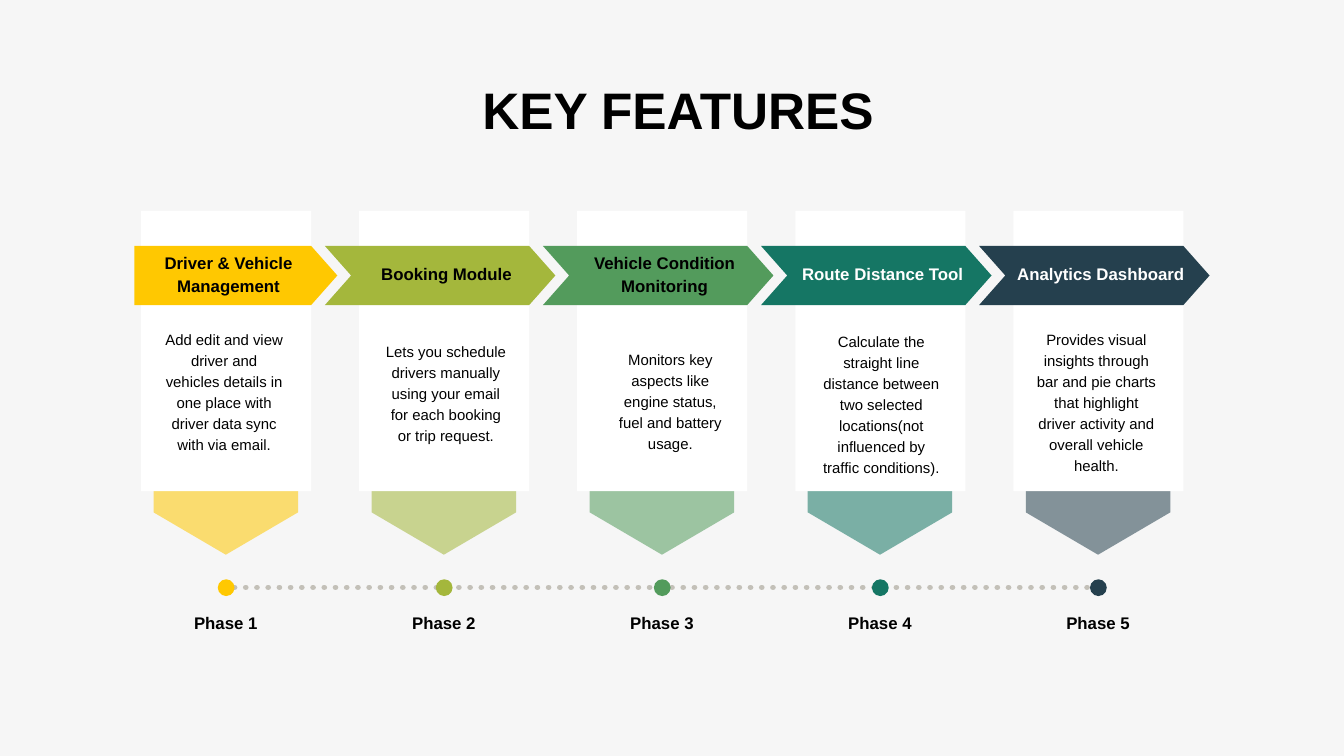
from pptx import Presentation
from pptx.dml.color import RGBColor
from pptx.enum.dml import MSO_LINE
from pptx.enum.shapes import MSO_CONNECTOR, MSO_SHAPE as SHAPE
from pptx.enum.text import MSO_ANCHOR as ANCHOR, MSO_AUTO_SIZE as AUTO, PP_ALIGN
from pptx.oxml.ns import qn
from pptx.util import Pt
from lxml import etree

PX = 9144  # 100 px to the inch
THEME = {
    "font": "Arial", "bg": "F6F6F6", "card": "FFFFFF", "dark": "000000",
    "light": "FFFFFF", "line": "C3C0B8",
    "title": 55, "label": 18, "body": 16, "leading": 1.4,
}

# color, tag text color, heading, description, description left, top and lines
PHASES = [
    ("FFC801", "dark", "Driver & Vehicle Management",
     "Add edit and view driver and vehicles details in one place with "
     "driver data sync with via email.", 244, 488, 6),
    ("A4B73C", "dark", "Booking Module",
     "Lets you schedule drivers manually using your email for each booking "
     "or trip request.", 574, 506, 5),
    ("539B5C", "dark", "Vehicle Condition Monitoring",
     "Monitors key aspects like engine status, fuel and battery usage.",
     908, 518, 5),
    ("157664", "light", "Route Distance Tool",
     "Calculate the straight line distance between two selected "
     "locations(not influenced by traffic conditions).", 1222, 491, 7),
    ("25404E", "light", "Analytics Dashboard",
     "Provides visual insights through bar and pie charts that highlight "
     "driver activity and overall vehicle health.", 1542, 488, 7),
]
FIRST, LAST = 336, 1634  # centers of the outer columns
PITCH = (LAST - FIRST) / (len(PHASES) - 1)

prs = Presentation()
prs.slide_width, prs.slide_height = 2000 * PX, 1125 * PX
slide = prs.slides.add_slide(prs.slide_layouts[6])
slide.background.fill.solid()
slide.background.fill.fore_color.rgb = RGBColor.from_string(THEME["bg"])


def add_shape(kind, x, y, w, h, color):
    s = slide.shapes.add_shape(kind, *(int(v * PX) for v in (x, y, w, h)))
    s.shadow.inherit = False
    s.fill.solid()
    s.fill.fore_color.rgb = RGBColor.from_string(color)
    s.line.fill.background()
    return s


def add_text(text, x, y, w, h, size, color="dark", bold=True, inset=0):
    s = slide.shapes.add_textbox(*(int(v * PX) for v in (x, y, w, h)))
    tf = s.text_frame
    tf.text = text
    tf.word_wrap = True
    tf.margin_left = tf.margin_right = inset * PX
    tf.margin_top = tf.margin_bottom = inset * PX
    if inset:
        tf.vertical_anchor = ANCHOR.MIDDLE
    else:
        tf.auto_size = AUTO.SHAPE_TO_FIT_TEXT
    p = tf.paragraphs[0]
    p.alignment = PP_ALIGN.CENTER
    p.line_spacing = Pt(THEME[size] * THEME["leading"])
    font = p.runs[0].font
    font.name, font.size, font.bold = THEME["font"], Pt(THEME[size]), bold
    font.color.rgb = RGBColor.from_string(THEME[color])


# Dotted timeline
line = slide.shapes.add_connector(
    MSO_CONNECTOR.STRAIGHT, 349 * PX, 874 * PX, 1622 * PX, 874 * PX)
line.line.color.rgb = RGBColor.from_string(THEME["line"])
line.line.width = Pt(6)
line.line.dash_style = MSO_LINE.ROUND_DOT
spPr = line._element.spPr
spPr.find(qn("a:ln")).set("cap", "rnd")
etree.SubElement(spPr, qn("a:effectLst"))

for i, (color, ink, heading, body, left, top, lines) in enumerate(PHASES):
    cx = FIRST + i * PITCH

    # Translucent pennant, turned to point down
    pennant = add_shape(SHAPE.PENTAGON, cx - 142, 576, 284, 215, color)
    pennant.rotation = 90
    pennant.adjustments[0] = 63 / 215
    fill = pennant._element.spPr.find(qn("a:solidFill"))
    etree.SubElement(fill[0], qn("a:alpha")).set("val", "55000")

    # Card
    add_shape(SHAPE.RECTANGLE, cx - 126, 314, 253, 417, THEME["card"])

    # Arrow tag; the first has a flat back
    if i == 0:
        tag = add_shape(SHAPE.PENTAGON, 200, 366, 302, 88, color)
        add_text(heading, 200, 357, 280, 97, "label", ink, inset=6)
    else:
        tag = add_shape(SHAPE.CHEVRON, cx - 177, 366, 343, 88, color)
        add_text(heading, cx - 143, 357, 294, 97, "label", ink, inset=6)
    tag.adjustments[0] = 39 / 88

    # Description, timeline dot and phase label
    add_text(body, left, top, 179, lines * 30, "body", bold=False)
    add_shape(SHAPE.OVAL, cx - 12, 862, 25, 25, color)
    add_text(f"Phase {i + 1}", cx - 90, 907, 180, 35, "label")

# Title
add_text("KEY FEATURES", 426, 101, 1166, 102, "title")

prs.save("out.pptx")
